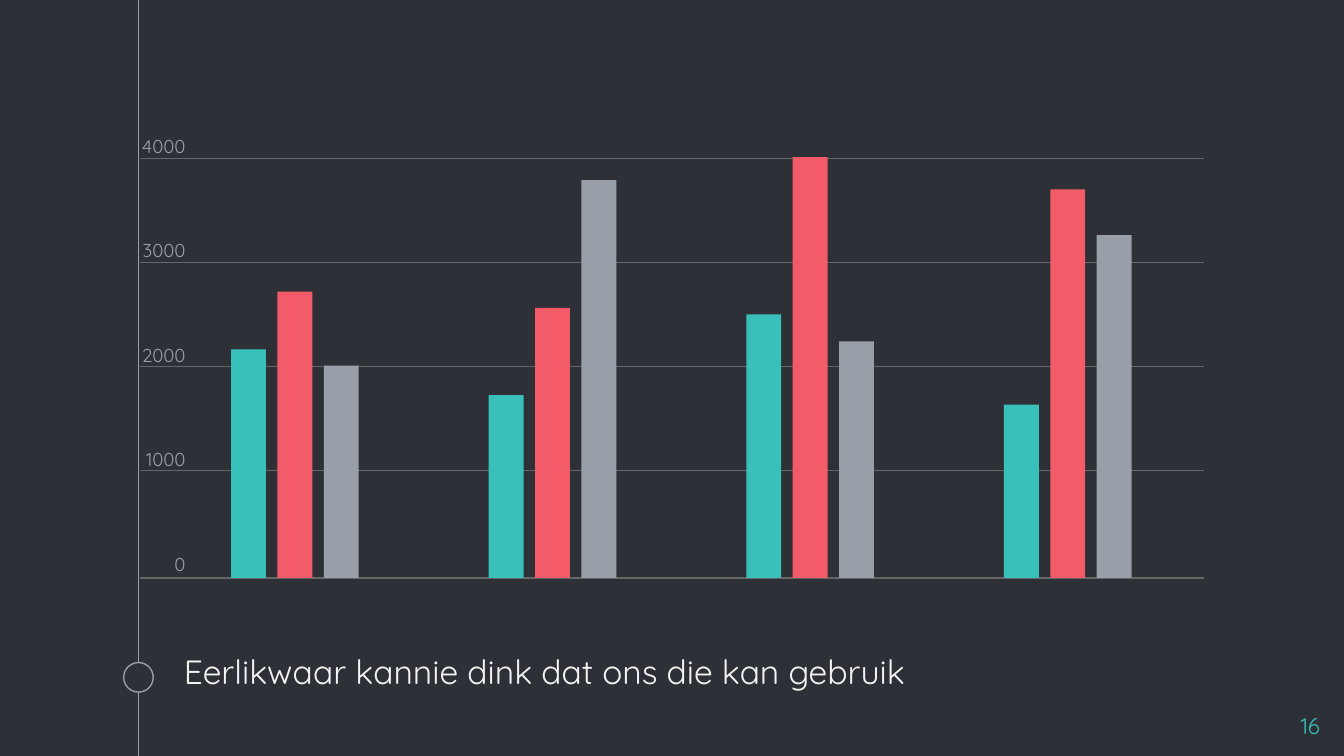
from typing import NamedTuple

from lxml.etree import SubElement
from pptx import Presentation
from pptx.dml.color import RGBColor
from pptx.enum.shapes import MSO_CONNECTOR as Connector, MSO_SHAPE as Shape
from pptx.enum.text import MSO_ANCHOR as Anchor, PP_ALIGN as Align
from pptx.oxml.ns import qn
from pptx.slide import Slide
from pptx.util import Inches, Pt

BACKGROUND = RGBColor(0x2E, 0x30, 0x37)
TEAL = RGBColor(0x39, 0xC0, 0xBA)
CORAL = RGBColor(0xF3, 0x5B, 0x69)
SILVER = RGBColor(0x99, 0x9F, 0xA9)
GRID_GREY = RGBColor(0x66, 0x66, 0x66)
WHITE = RGBColor(0xF3, 0xF3, 0xF3)
FONT = "Quicksand"

SLIDE_WIDTH = 10
SLIDE_HEIGHT = SLIDE_WIDTH * 9 / 16
RAIL_X = 1.03
MARKER_SIZE = 0.22
MARKER_TOP = 4.93

PLOT_LEFT, PLOT_RIGHT = 1.04, 8.96
PLOT_TOP, BASELINE = 1.18, 4.3
GRID_STEP = (3.5 - PLOT_TOP) / 3
GRID_ROWS = [PLOT_TOP + row * GRID_STEP for row in range(4)] + [BASELINE]

FIRST_BAR_LEFT = 1.72
GROUP_PITCH = (7.47 - FIRST_BAR_LEFT) / 3
BAR_PITCH = (2.41 - FIRST_BAR_LEFT) / 2
BAR_WIDTH = 0.26
SERIES_COLORS = (TEAL, CORAL, SILVER)


class Box(NamedTuple):
    left: float
    top: float
    width: float
    height: float


class TextStyle(NamedTuple):
    size: float
    color: RGBColor
    align: Align = Align.LEFT
    inset: float = 0.1
    first_gap: float = 0
    gap: float = 0


class BarGroup(NamedTuple):
    teal: float
    coral: float
    silver: float


BAR_GROUPS = (
    BarGroup(1.7, 2.13, 1.58),
    BarGroup(1.36, 2.01, 2.96),
    BarGroup(1.96, 3.13, 1.76),
    BarGroup(1.29, 2.89, 2.55),
)


def draw_line(slide: Slide, x1: float, y1: float, x2: float, y2: float,
              color: RGBColor) -> None:
    connector = slide.shapes.add_connector(
        Connector.STRAIGHT, Inches(x1), Inches(y1), Inches(x2), Inches(y2))
    connector.line.color.rgb = color
    connector.line.width = Pt(0.75)
    SubElement(connector._element.spPr, qn("a:effectLst"))


def draw_shape(slide: Slide, kind: Shape, box: Box, fill: RGBColor,
               outline: RGBColor | None = None) -> None:
    shape = slide.shapes.add_shape(kind, *map(Inches, box))
    shape.shadow.inherit = False
    shape.fill.solid()
    shape.fill.fore_color.rgb = fill
    if outline is None:
        shape.line.fill.background()
    else:
        shape.line.color.rgb = outline
        shape.line.width = Pt(0.75)


def draw_text(slide: Slide, box: Box, lines: tuple[str, ...], style: TextStyle) -> None:
    frame = slide.shapes.add_textbox(*map(Inches, box)).text_frame
    frame.word_wrap = True
    frame.vertical_anchor = Anchor.TOP
    frame.margin_left = frame.margin_right = Inches(style.inset)
    frame.margin_top = frame.margin_bottom = Inches(style.inset)
    frame.text = "\n".join(lines)
    for index, paragraph in enumerate(frame.paragraphs):
        paragraph.alignment = style.align
        paragraph.space_before = Pt(style.gap if index else style.first_gap)
        paragraph.font.name = FONT
        paragraph.font.size = Pt(style.size)
        paragraph.font.color.rgb = style.color


def draw_bars(slide: Slide) -> None:
    for group_index, group in enumerate(BAR_GROUPS):
        for bar_index, (height, color) in enumerate(zip(group, SERIES_COLORS)):
            left = FIRST_BAR_LEFT + group_index * GROUP_PITCH + bar_index * BAR_PITCH
            box = Box(left, BASELINE - height, BAR_WIDTH, height)
            draw_shape(slide, Shape.RECTANGLE, box, color)


def main() -> None:
    presentation = Presentation()
    presentation.slide_width = Inches(SLIDE_WIDTH)
    presentation.slide_height = Inches(SLIDE_HEIGHT)
    slide = presentation.slides.add_slide(presentation.slide_layouts[6])
    slide.background.fill.solid()
    slide.background.fill.fore_color.rgb = BACKGROUND

    draw_line(slide, RAIL_X, 0, RAIL_X, SLIDE_HEIGHT, SILVER)
    marker = Box(RAIL_X - MARKER_SIZE / 2, MARKER_TOP, MARKER_SIZE, MARKER_SIZE)
    draw_shape(slide, Shape.OVAL, marker, BACKGROUND, SILVER)

    draw_text(slide, Box(1.27, 4.74, 8.23, 0.47),
              ("Eerlikwaar kannie dink dat ons die kan gebruik",),
              TextStyle(18, WHITE, first_gap=3.6))
    draw_text(slide, Box(9.32, 5.2, 0.6, 0.34), ("16",),
              TextStyle(12, TEAL, Align.RIGHT))

    for y in GRID_ROWS:
        draw_line(slide, PLOT_LEFT, y, PLOT_RIGHT, y, GRID_GREY)
    axis_labels = tuple(str(value) for value in range(4000, -1, -1000))
    draw_text(slide, Box(PLOT_LEFT, 1, 0.34, 3.31), axis_labels,
              TextStyle(10, SILVER, Align.RIGHT, inset=0, gap=44))
    draw_bars(slide)

    presentation.save("out.pptx")


if __name__ == "__main__":
    main()
